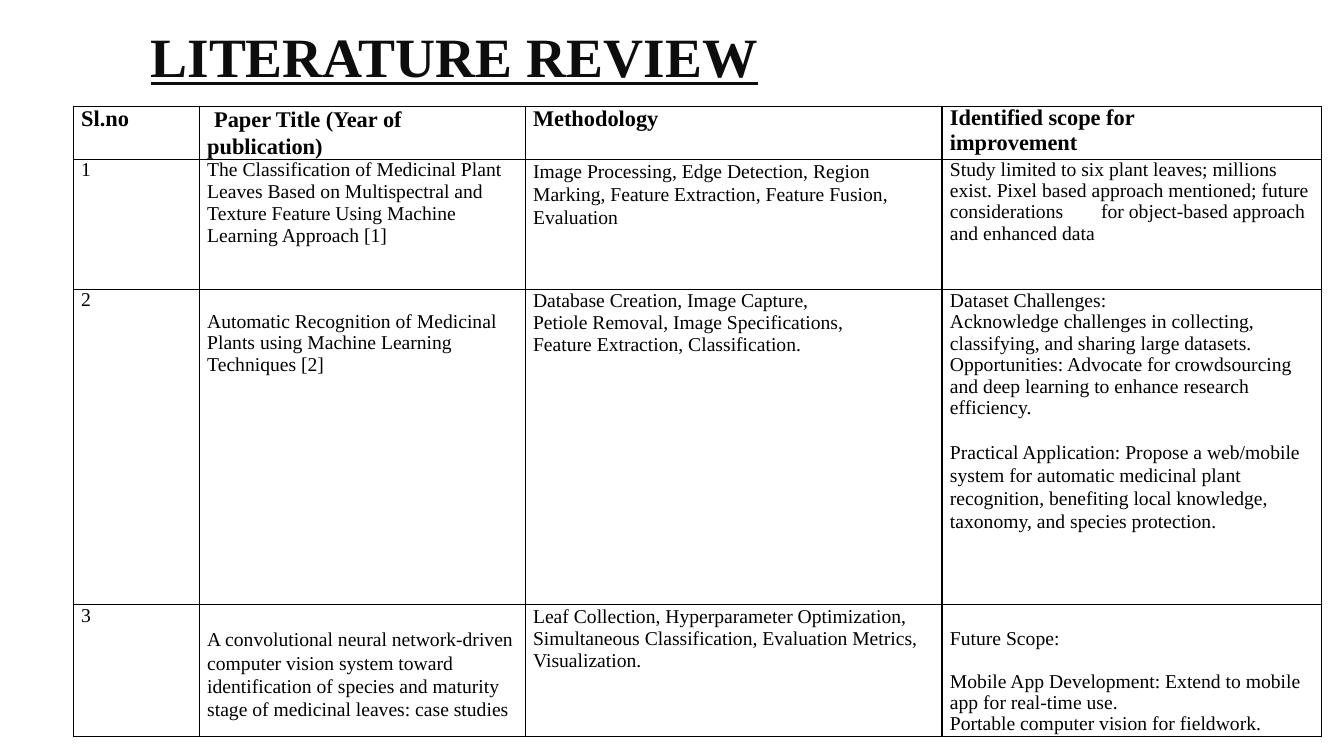
"""Build a literature review slide with a table of three papers."""
import pptx
import pptx.dml.color
import pptx.enum.text
import pptx.oxml
import pptx.oxml.ns
import pptx.util

Pt = pptx.util.Pt
BLACK = pptx.dml.color.RGBColor(0, 0, 0)
INK = pptx.dml.color.RGBColor(0x0D, 0x0D, 0x0D)
FACE = "Times New Roman"
NS = pptx.oxml.ns.nsdecls("a")


def style(para, size, bold, color):
    font = para.font
    font.name, font.size, font.bold = FACE, Pt(size), bold
    font.color.rgb = color


def border(cell, side, width):
    props = cell._tc.get_or_add_tcPr()
    line = pptx.oxml.parse_xml(
        f'<a:{side} {NS} w="{Pt(width)}"><a:solidFill>'
        f'<a:srgbClr val="{BLACK}"/></a:solidFill></a:{side}>')
    props.append(line)


deck = pptx.Presentation()
deck.slide_width, deck.slide_height = Pt(960), Pt(540)
slide = deck.slides.add_slide(deck.slide_layouts[5])

title = slide.shapes.title
title.left, title.top, title.width, title.height = Pt(15), Pt(12.2), Pt(619), Pt(55)
title.text_frame.text = "LITERATURE REVIEW"
title.text_frame.vertical_anchor = pptx.enum.text.MSO_ANCHOR.MIDDLE
head = title.text_frame.paragraphs[0]
head.alignment = pptx.enum.text.PP_ALIGN.CENTER
style(head, 39.6, True, INK)
head.font.underline = True

# cell: top margin, right margin, then (text, line spacing, space before)
rows = [
    [(0, 0, [("Sl.no", 1, 0.7)]),
     (0, 20, [("Paper Title (Year of publication)", 1.07, 0.6)]),
     (0, 0, [("Methodology", 1, 0.8)]),
     (0, 80, [("Identified scope for improvement", 0.98, 0.8)])],
    [(0, 0, [("1", 1, 0.7)]),
     (0, 0, [("The Classification of Medicinal Plant Leaves Based on Multispectral "
              "and Texture Feature Using Machine Learning Approach [1]", 1.01, 0.6)]),
     (0, 0, [("Image Processing, Edge Detection, Region Marking, Feature Extraction, "
              "Feature Fusion, Evaluation", 1.07, 0.7)]),
     (0, 0, [("Study limited to six plant leaves; millions exist. Pixel based approach "
              "mentioned; future\tconsiderations\tfor object-based approach and "
              "enhanced data", 0.98, 0.8)])],
    [(0, 0, [("2", 1, 0.7)]),
     (16, 0, [("Automatic Recognition of Medicinal Plants using Machine Learning "
               "Techniques [2]", 0.98, 0)]),
     (0, 60, [("Database Creation, Image Capture, Petiole Removal, Image "
               "Specifications, Feature Extraction, Classification.", 1.02, 0.7)]),
     (0, 0, [("Dataset Challenges:", 1.01, 0),
             ("Acknowledge challenges in collecting, classifying, and sharing large "
              "datasets.", 1.01, 0),
             ("Opportunities: Advocate for crowdsourcing and deep learning to enhance "
              "research efficiency.", 0.98, 0),
             ("Practical Application: Propose a web/mobile system for automatic "
              "medicinal plant recognition, benefiting local knowledge, taxonomy, and "
              "species protection.", 1.07, 15.5)])],
    [(0, 0, [("3", 1, 0.7)]),
     (16.5, 0, [("A convolutional neural network-driven computer vision system toward "
                 "identification of species and maturity stage of medicinal leaves: "
                 "case studies", 1.07, 0)]),
     (0, 0, [("Leaf Collection, Hyperparameter Optimization, Simultaneous "
              "Classification, Evaluation Metrics, Visualization.", 1.03, 0.6)]),
     (16.5, 0, [("Future Scope:", 1, 0),
                ("Mobile App Development: Extend to mobile app for real-time use.",
                 0.98, 15.5),
                ("Portable computer vision for fieldwork.", 0.98, 0)])],
]
widths = [90, 232.8, 297.8, 270.8]
heights = [37.9, 92.9, 225.4, 94.3]

frame = slide.shapes.add_table(len(rows), len(widths), Pt(52.5), Pt(75.8),
                               Pt(sum(widths)), Pt(sum(heights)))
table = frame.table
table.first_row = table.horz_banding = False
for col, width in zip(table.columns, widths):
    col.width = Pt(width)
for row, height in zip(table.rows, heights):
    row.height = Pt(height)

for r, row in enumerate(rows):
    for c, (top, right, paras) in enumerate(row):
        cell = table.cell(r, c)
        cell.margin_left = cell.margin_bottom = 0
        cell.margin_top, cell.margin_right = Pt(top), Pt(right)
        cell.text_frame.text = "\n".join(text for text, _, _ in paras)
        for para, (text, line, before) in zip(cell.text_frame.paragraphs, paras):
            style(para, 14 if r else 16, r == 0, BLACK)
            para.line_spacing, para.space_before = line, Pt(before)
            props = para._p.get_or_add_pPr()
            props.set("marL", str(Pt(5.5)))
            props.set("indent", str(Pt(5 if (r, c) == (0, 1) else 0)))
            if "\t" in text:
                tabs = pptx.oxml.parse_xml(
                    f'<a:tabLst {NS}><a:tab pos="{Pt(46.8)}" algn="l"/>'
                    f'<a:tab pos="{Pt(129.6)}" algn="l"/></a:tabLst>')
                props.insert_element_before(tabs, "a:defRPr", "a:extLst")
        border(cell, "lnL", 1.5 if c == 3 else 0.75)
        border(cell, "lnR", 1.5 if c == 2 else 0.75)
        border(cell, "lnT", 0.75)
        border(cell, "lnB", 0.75)
        cell.fill.background()

deck.save("out.pptx")
